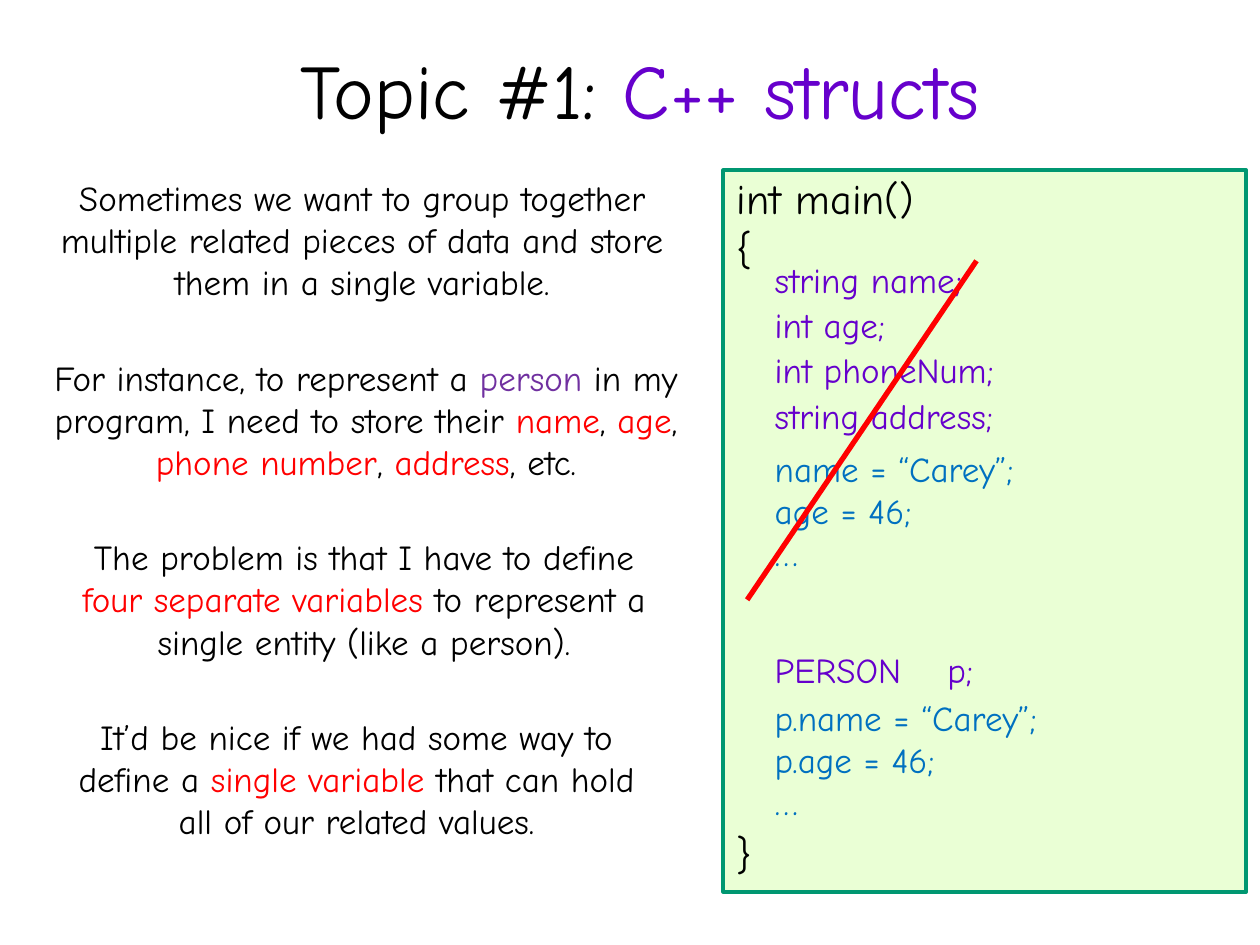
from dataclasses import dataclass

import pptx
import pptx.dml.color
import pptx.enum.shapes
import pptx.enum.text
import pptx.oxml
import pptx.oxml.ns
import pptx.util

RGB = pptx.dml.color.RGBColor
BLACK = RGB(0x00, 0x00, 0x00)
VIOLET = RGB(0x66, 0x00, 0xCC)
PURPLE = RGB(0x70, 0x30, 0xA0)
RED = RGB(0xFF, 0x00, 0x00)
BLUE = RGB(0x00, 0x70, 0xC0)
PALE_GREEN = RGB(0xEA, 0xFF, 0xD5)
GREEN = RGB(0x00, 0x97, 0x71)

FONT = "Comic Neue"
SLIDE_WIDTH = pptx.util.Inches(10)
SLIDE_HEIGHT = pptx.util.Inches(7.5)
CENTER = pptx.enum.text.PP_ALIGN.CENTER
LEFT = pptx.enum.text.PP_ALIGN.LEFT

Segment = tuple[str, RGB]


@dataclass(frozen=True)
class Note:
    """An explanation on the left; left and width are percent of the slide."""
    left: float
    width: float
    segments: list[Segment]


@dataclass(frozen=True)
class Code:
    """Code lines; left and top are percent of the slide."""
    left: float
    top: float
    lines: list[str]
    color: RGB
    size: int = 20


NOTES = [
    Note(1.7, 54.1, [("Sometimes we want to group together multiple related "
                      "pieces of data and store them in a single variable.", BLACK)]),
    Note(2.8, 52.5, [("For instance, to represent a ", BLACK), ("person", PURPLE),
                     (" in my program, I need to store their ", BLACK),
                     ("name", RED), (", ", BLACK), ("age", RED), (", ", BLACK),
                     ("phone number", RED), (", ", BLACK), ("address", RED),
                     (", etc.", BLACK)]),
    Note(3.7, 50.4, [("The problem is that I have to define ", BLACK),
                     ("four separate variables ", RED),
                     ("to represent a single entity (like a person).", BLACK)]),
    Note(3.7, 49.2, [("It’d be nice if we had some way to define a ", BLACK),
                     ("single variable ", RED),
                     ("that can hold all of our related values.", BLACK)]),
]
NOTES_TOP, NOTE_STEP, NOTE_HEIGHT = 18, 19.03, 14.8

BRACE_LEFT, BODY_LEFT = 57.5, 60.5
DECLARATIONS = ["string name;", "int age;", "int phoneNum;", "string address;"]
DECLARATIONS_TOP, DECLARATION_STEP = 26.67, 4.8
CODE = [
    Code(BRACE_LEFT, 17.6, ["int main()", "{"], BLACK, 24),
    Code(BRACE_LEFT, 86.9, ["}"], BLACK, 24),
    *(Code(BODY_LEFT, DECLARATIONS_TOP + row * DECLARATION_STEP, [line], VIOLET)
      for row, line in enumerate(DECLARATIONS)),
    Code(BODY_LEFT, 46.67, ["name = “Carey”;", "age = 46;", "…"], BLUE),
    Code(BODY_LEFT, 68, ["PERSON\tp;"], VIOLET),
    Code(BODY_LEFT, 73.07, ["p.name = “Carey”;", "p.age = 46;", "…"], BLUE),
]
CODE_WIDTH, CODE_LINE_HEIGHT = 24.5, 4.9
VARIABLE_TAB = 13.7


def across(percent: float) -> int:
    return round(SLIDE_WIDTH * percent / 100)


def down(percent: float) -> int:
    return round(SLIDE_HEIGHT * percent / 100)


def add_text(slide, left: float, top: float, width: float, height: float,
             lines: list[list[Segment]], size: int, align, wrap: bool = True):
    """Add a text box with one paragraph per line of coloured segments."""
    frame = slide.shapes.add_textbox(
        across(left), down(top), across(width), down(height)).text_frame
    frame.word_wrap = wrap
    frame.text = "\n".join("" for _ in lines)
    for paragraph, segments in zip(frame.paragraphs, lines):
        paragraph.alignment = align
        for text, color in segments:
            run = paragraph.add_run()
            run.text = text
            run.font.name = FONT
            run.font.size = pptx.util.Pt(size)
            run.font.color.rgb = color
    return frame


def add_code(slide, code: Code) -> None:
    frame = add_text(slide, code.left, code.top, CODE_WIDTH,
                     CODE_LINE_HEIGHT * len(code.lines) + 1,
                     [[(line, code.color)] for line in code.lines],
                     code.size, LEFT, wrap=False)
    for paragraph, line in zip(frame.paragraphs, code.lines):
        if "\t" in line:
            tabs = pptx.oxml.parse_xml(
                f'<a:tabLst {pptx.oxml.ns.nsdecls("a")}>'
                f'<a:tab pos="{across(VARIABLE_TAB)}" algn="l"/></a:tabLst>')
            paragraph.alignment = LEFT
            paragraph._p.get_or_add_pPr().append(tabs)


def add_code_panel(slide) -> None:
    panel = slide.shapes.add_shape(
        pptx.enum.shapes.MSO_SHAPE.RECTANGLE,
        across(57.4), down(18), across(41.5), down(76.4))
    panel.shadow.inherit = False
    panel.fill.solid()
    panel.fill.fore_color.rgb = PALE_GREEN
    panel.line.color.rgb = GREEN
    panel.line.width = pptx.util.Pt(2)


def add_strike(slide) -> None:
    """Cross out the separate variables."""
    strike = slide.shapes.add_connector(
        pptx.enum.shapes.MSO_CONNECTOR.STRAIGHT,
        across(59.3), down(63.47), across(77.5), down(27.6))
    strike.line.color.rgb = RED
    strike.line.width = pptx.util.Pt(3)
    strike._element.spPr.append(pptx.oxml.parse_xml(
        f'<a:effectLst {pptx.oxml.ns.nsdecls("a")}/>'))


def main() -> None:
    deck = pptx.Presentation()
    deck.slide_width, deck.slide_height = SLIDE_WIDTH, SLIDE_HEIGHT
    slide = deck.slides.add_slide(deck.slide_layouts[6])

    title = add_text(slide, 8.3, 1.07, 85, 16.67,
                     [[("Topic #1: ", BLACK), ("C++ structs", VIOLET)]], 44, CENTER)
    title.vertical_anchor = pptx.enum.text.MSO_ANCHOR.MIDDLE

    for row, note in enumerate(NOTES):
        add_text(slide, note.left, NOTES_TOP + row * NOTE_STEP, note.width,
                 NOTE_HEIGHT, [note.segments], 20, CENTER)

    add_code_panel(slide)
    for code in CODE:
        add_code(slide, code)
    add_strike(slide)
    deck.save("out.pptx")


if __name__ == "__main__":
    main()
